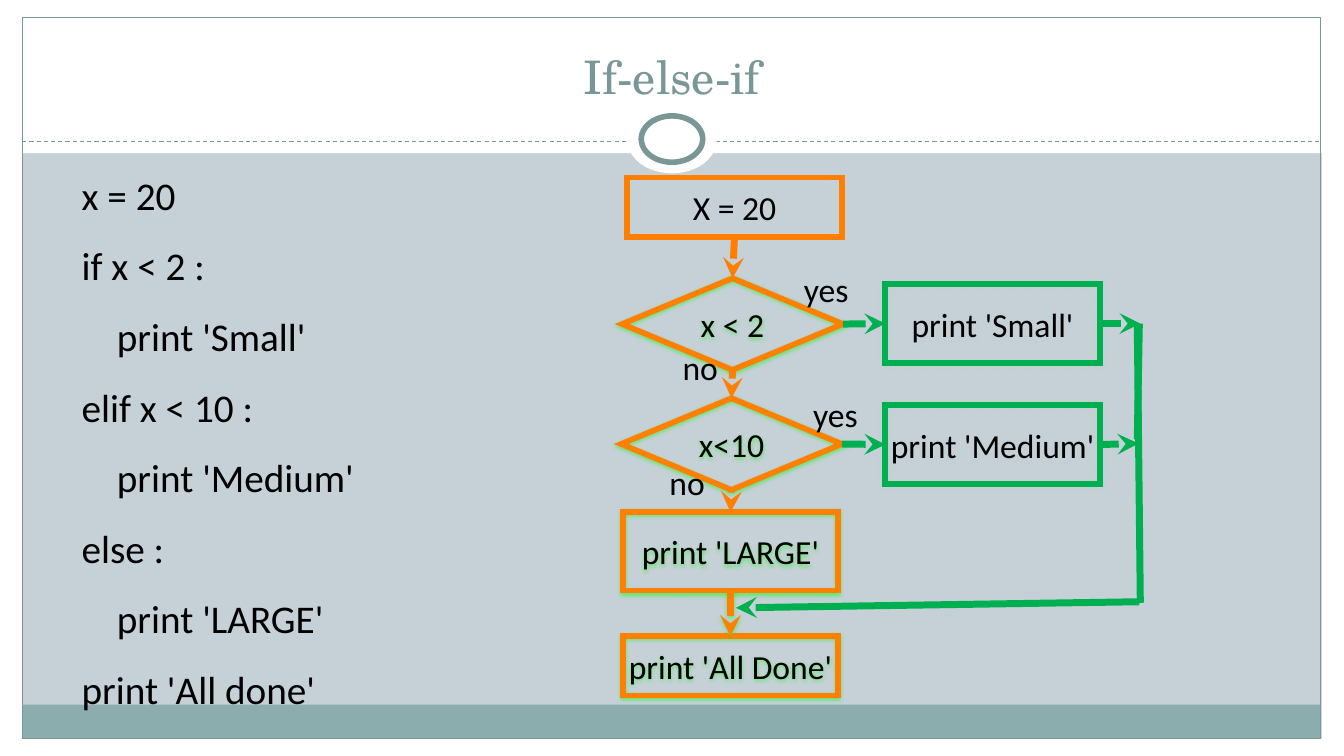
from dataclasses import dataclass
from typing import Optional

from lxml.etree import SubElement
from pptx import Presentation
from pptx.dml.color import RGBColor
from pptx.enum.dml import MSO_LINE
from pptx.enum.shapes import MSO_CONNECTOR, MSO_SHAPE
from pptx.enum.text import MSO_ANCHOR, PP_ALIGN
from pptx.oxml.ns import qn
from pptx.util import Emu, Pt

EMU_PER_PX = 9144  # 100 px to the inch
TOP, LEFT, BOTTOM, RIGHT = range(4)
WHITE, BLACK = "FFFFFF", "000000"
BACKGROUND, BAND, TEAL = "C5D1D7", "8CADAE", "7A9798"
ORANGE, GREEN, GLOW = "FF7F00", "00B050", "00FF00"
CODE_INDENT = 35


@dataclass(frozen=True)
class Box:
    left: int
    top: int
    width: int
    height: int


@dataclass(frozen=True)
class Panel:
    box: Box
    fill: Optional[str] = None
    line: Optional[str] = None
    line_width: float = 0.75
    kind: MSO_SHAPE = MSO_SHAPE.RECTANGLE


@dataclass(frozen=True)
class Node:
    text: str
    box: Box
    color: str = ORANGE
    shadow: Optional[str] = GLOW
    kind: MSO_SHAPE = MSO_SHAPE.RECTANGLE


@dataclass(frozen=True)
class Link:
    """A flow line; each end is a (node name, side) pair or an (x, y) point."""
    start: tuple
    end: tuple
    color: str = GREEN
    arrow: bool = True
    shadow: Optional[str] = None


PANELS_BEHIND_RULE = [
    Panel(Box(0, 733, 1333, 17), WHITE),
    Panel(Box(0, 0, 1333, 152), WHITE),
    Panel(Box(0, 0, 22, 750), WHITE),
    Panel(Box(1311, 0, 22, 750), WHITE),
    Panel(Box(22, 699, 1288, 34), BAND),
    Panel(Box(22, 17, 1288, 716), line=TEAL),
]
RINGS = [
    Panel(Box(622, 105, 89, 67), WHITE, kind=MSO_SHAPE.OVAL),
    Panel(Box(636, 115, 61, 46), WHITE, TEAL, 4, MSO_SHAPE.OVAL),
]
CODE = [
    (0, "x = 20"), (0, "if x < 2 :"), (1, "print 'Small'"),
    (0, "elif x < 10 :"), (1, "print 'Medium'"),
    (0, "else :"), (1, "print 'LARGE'"), (0, "print 'All done'"),
]
NODES = {
    "start": Node("X = 20", Box(622, 176, 213, 59), shadow=None),
    "below 2": Node("x < 2", Box(617, 276, 219, 91), kind=MSO_SHAPE.DIAMOND),
    "below 10": Node("x<10", Box(616, 395, 219, 91), kind=MSO_SHAPE.DIAMOND),
    "small": Node("print 'Small'", Box(878, 282, 213, 78), GREEN, BACKGROUND),
    "medium": Node("print 'Medium'", Box(878, 402, 213, 78), GREEN, BACKGROUND),
    "large": Node("print 'LARGE'", Box(618, 508, 213, 78)),
    "done": Node("print 'All Done'", Box(618, 631, 213, 59)),
}
LINKS = [
    Link(("start", BOTTOM), ("below 2", TOP), ORANGE),
    Link(("below 2", BOTTOM), ("below 10", TOP), ORANGE),
    Link(("below 10", BOTTOM), ("large", TOP), ORANGE),
    Link(("large", BOTTOM), ("done", TOP), ORANGE, shadow=GLOW),
    Link(("below 2", RIGHT), ("small", LEFT)),
    Link(("below 10", RIGHT), ("medium", LEFT)),
    Link(("small", RIGHT), (1131, 321)),
    Link(("medium", RIGHT), (1129, 440)),
    Link((1130, 321), (1128, 436), arrow=False),
    Link((1128, 323), (1131, 598), arrow=False),
    Link((1130, 597), (730, 603)),
]
BRANCH_LABELS = [
    ("yes", Box(795, 267, 49, 40)), ("no", Box(674, 344, 41, 40)),
    ("yes", Box(804, 391, 49, 40)), ("no", Box(661, 458, 41, 40)),
]


def px(value: int) -> Emu:
    return Emu(value * EMU_PER_PX)


def rgb(color: str) -> RGBColor:
    return RGBColor.from_string(color)


def place(box: Box) -> tuple:
    return px(box.left), px(box.top), px(box.width), px(box.height)


def add_shadow(effects, color: str) -> None:
    shadow = SubElement(effects, qn("a:outerShdw"), blurRad=str(Pt(3)),
                        dist=str(Pt(1)), dir="5400000", rotWithShape="0")
    tint = SubElement(shadow, qn("a:srgbClr"), val=color)
    SubElement(tint, qn("a:alpha"), val="50000")


def style_text(frame, size: int, color: str = BLACK, font: str = "Calibri",
               align: PP_ALIGN = PP_ALIGN.CENTER,
               anchor: MSO_ANCHOR = MSO_ANCHOR.MIDDLE) -> None:
    frame.margin_left = frame.margin_right = 0
    frame.margin_top = frame.margin_bottom = 0
    frame.vertical_anchor = anchor
    for paragraph in frame.paragraphs:
        paragraph.alignment = align
        for run in paragraph.runs:
            run.font.size = Pt(size)
            run.font.name = font
            run.font.color.rgb = rgb(color)


def add_panel(slide, panel: Panel):
    shape = slide.shapes.add_shape(panel.kind, *place(panel.box))
    shape.shadow.inherit = False
    if panel.fill:
        shape.fill.solid()
        shape.fill.fore_color.rgb = rgb(panel.fill)
    else:
        shape.fill.background()
    if panel.line:
        shape.line.color.rgb = rgb(panel.line)
        shape.line.width = Pt(panel.line_width)
    else:
        shape.line.fill.background()
    return shape


def add_node(slide, node: Node):
    shape = add_panel(slide, Panel(node.box, None, node.color, 4, node.kind))
    SubElement(shape.line._get_or_add_ln(), qn("a:miter"), lim="800000")
    if node.shadow:
        add_shadow(shape._element.spPr.find(qn("a:effectLst")), node.shadow)
    shape.text_frame.text = node.text
    shape.text_frame.word_wrap = False
    style_text(shape.text_frame, 24)
    return shape


def add_line(slide, start: tuple, end: tuple, color: str, width: float):
    line = slide.shapes.add_connector(
        MSO_CONNECTOR.STRAIGHT, *map(px, start), *map(px, end))
    line.line.color.rgb = rgb(color)
    line.line.width = Pt(width)
    SubElement(line._element.spPr, qn("a:effectLst"))
    return line


def add_link(slide, link: Link, shapes: dict) -> None:
    start_joined, end_joined = link.start[0] in shapes, link.end[0] in shapes
    line = add_line(slide, (0, 0) if start_joined else link.start,
                    (0, 0) if end_joined else link.end, link.color, 5)
    if start_joined:
        line.begin_connect(shapes[link.start[0]], link.start[1])
    if end_joined:
        line.end_connect(shapes[link.end[0]], link.end[1])
    if link.arrow:
        SubElement(line.line._get_or_add_ln(), qn("a:tailEnd"), type="stealth")
    if link.shadow:
        add_shadow(line._element.spPr.find(qn("a:effectLst")), link.shadow)


def add_text(slide, text: str, box: Box, wrap: bool = False):
    frame = slide.shapes.add_textbox(*place(box)).text_frame
    frame.text = text
    frame.word_wrap = wrap
    return frame


def add_code(slide) -> None:
    frame = add_text(slide, "\n".join(text for _, text in CODE),
                     Box(81, 144, 388, 565), wrap=True)
    style_text(frame, 28, align=PP_ALIGN.LEFT)
    for paragraph, (depth, _) in zip(frame.paragraphs, CODE):
        paragraph.line_spacing = 1.5
        paragraph._p.get_or_add_pPr().set("marL", str(px(depth * CODE_INDENT)))


def main() -> None:
    presentation = Presentation()
    presentation.slide_width, presentation.slide_height = px(1333), px(750)
    slide = presentation.slides.add_slide(presentation.slide_layouts[6])
    slide.background.fill.solid()
    slide.background.fill.fore_color.rgb = rgb(BACKGROUND)

    for panel in PANELS_BEHIND_RULE:
        add_panel(slide, panel)
    rule = add_line(slide, (22, 140), (1310, 140), TEAL, 0.75)
    rule.line.dash_style = MSO_LINE.DASH
    for ring in RINGS:
        add_panel(slide, ring)

    title = add_text(slide, "If-else-if", Box(210, 30, 913, 73), wrap=True)
    style_text(title, 33, TEAL, "TeX Gyre Schola", anchor=MSO_ANCHOR.BOTTOM)
    add_code(slide)
    shapes = {name: add_node(slide, node) for name, node in NODES.items()}
    for link in LINKS:
        add_link(slide, link, shapes)
    for text, box in BRANCH_LABELS:
        style_text(add_text(slide, text, box), 24)
    presentation.save("out.pptx")


if __name__ == "__main__":
    main()
